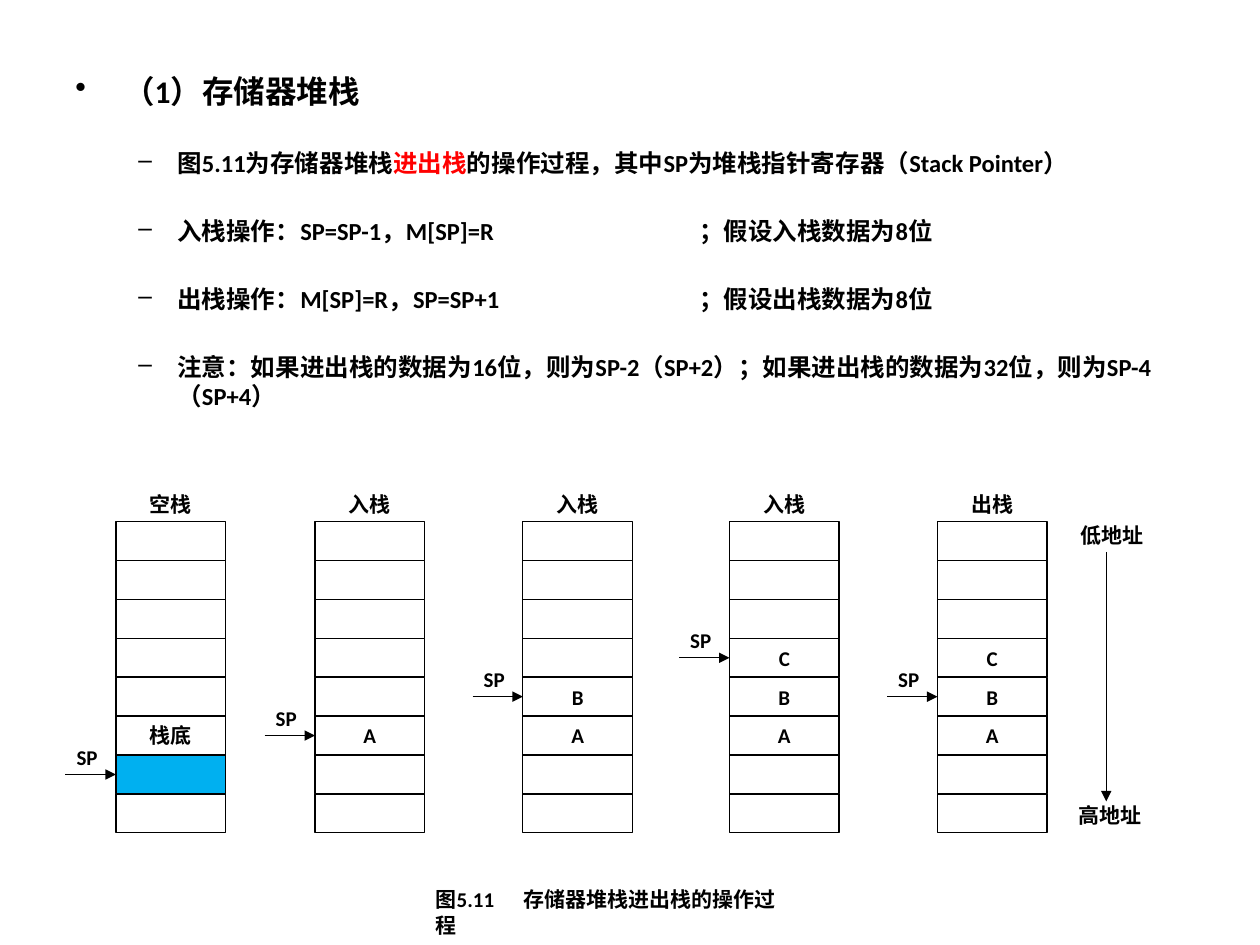
import pptx
import pptx.util
import pptx.dml.color
import pptx.enum.shapes
import pptx.enum.text
import pptx.oxml.ns
from lxml import etree

Inches, Pt = pptx.util.Inches, pptx.util.Pt
RGBColor = pptx.dml.color.RGBColor
BLACK = RGBColor(0, 0, 0)
WHITE = RGBColor(255, 255, 255)
RED = RGBColor(255, 0, 0)
BLUE = RGBColor(0, 0xB0, 0xF0)
FONT = "Calibri"

# Content: each outline line is a list of (text, colour) pieces
HEADING = [("（1）存储器堆栈", BLACK)]
POINTS = [
    [("图5.11为存储器堆栈", BLACK), ("进出栈", RED),
     ("的操作过程，其中SP为堆栈指针寄存器（Stack Pointer）", BLACK)],
    [("入栈操作：SP=SP-1，M[SP]=R\t；假设入栈数据为8位", BLACK)],
    [("出栈操作：M[SP]=R，SP=SP+1\t；假设出栈数据为8位", BLACK)],
    [("注意：如果进出栈的数据为16位，则为SP-2（SP+2）；"
      "如果进出栈的数据为32位，则为SP-4（SP+4）", BLACK)],
]
# Stacks: title, left edge, {row: cell text}, row SP points to
STACKS = [
    ("空栈", 0.92, {5: "栈底"}, 6),
    ("入栈", 2.5, {5: "A"}, 5),
    ("入栈", 4.15, {4: "B", 5: "A"}, 4),
    ("入栈", 5.79, {3: "C", 4: "B", 5: "A"}, 3),
    ("出栈", 7.44, {3: "C", 4: "B", 5: "A"}, 4),
]
FILLED_CELL = (0, 6)  # stack, row
CAPTION = "图5.11\t存储器堆栈进出栈的操作过程"

# Stack grid, in inches
ROWS = 8
STACK_TOP, STACK_HEIGHT, CELL_WIDTH = 4.14, 2.47, 0.87
CELL_HEIGHT = STACK_HEIGHT / ROWS
ARROW_LENGTH = 0.4
LABEL_HEIGHT = 0.3

deck = pptx.Presentation()
deck.slide_width, deck.slide_height = Inches(10), Inches(7.5)
slide = deck.slides.add_slide(deck.slide_layouts[6])


def add_xml(parent, tag, **attributes):
    return etree.SubElement(parent, pptx.oxml.ns.qn(tag), attributes)


def style_runs(paragraph, size, color=BLACK):
    for run in paragraph.runs:
        run.font.name, run.font.size, run.font.bold = FONT, Pt(size), True
        run.font.color.rgb = color


def add_tab(paragraph, position):
    tabs = add_xml(paragraph._p.get_or_add_pPr(), "a:tabLst")
    add_xml(tabs, "a:tab", pos=str(Inches(position)), algn="l")


def add_outline_line(paragraph, pieces, size, bullet, margin, hanging, tab=None):
    properties = paragraph._p.get_or_add_pPr()
    properties.set("marL", str(Inches(margin)))
    properties.set("indent", str(-Inches(hanging)))
    add_xml(properties, "a:buChar", char=bullet)
    if tab:
        add_tab(paragraph, tab)
    for text, color in pieces:
        run = paragraph.add_run()
        run.text = text
        run.font.name, run.font.size, run.font.bold = FONT, Pt(size), True
        run.font.color.rgb = color


def add_label(text, left, top, width, wrap=False, tab=None):
    box = slide.shapes.add_textbox(
        Inches(left), Inches(top), Inches(width), Inches(LABEL_HEIGHT))
    box.text_frame.word_wrap = wrap
    paragraph = box.text_frame.paragraphs[0]
    if tab:
        add_tab(paragraph, tab)
    paragraph.text = text
    style_runs(paragraph, 12)


def add_arrow(x1, y1, x2, y2, target=None):
    arrow = slide.shapes.add_connector(
        pptx.enum.shapes.MSO_CONNECTOR.STRAIGHT,
        Inches(x1), Inches(y1), Inches(x2), Inches(y2))
    if target is not None:
        arrow.end_connect(target, 1)
    arrow.line.color.rgb = BLACK
    arrow.line.width = Pt(0.75)
    add_xml(arrow.line._get_or_add_ln(), "a:tailEnd", type="triangle")
    add_xml(arrow._element.spPr, "a:effectLst")


def add_cell(left, row, text, fill):
    cell = slide.shapes.add_shape(
        pptx.enum.shapes.MSO_SHAPE.RECTANGLE,
        Inches(left), Inches(STACK_TOP + row * CELL_HEIGHT),
        Inches(CELL_WIDTH), Inches(CELL_HEIGHT))
    cell.shadow.inherit = False
    cell.fill.solid()
    cell.fill.fore_color.rgb = fill
    cell.line.color.rgb = BLACK
    cell.line.width = Pt(0.75)
    if text:
        cell.text_frame.text = text
        paragraph = cell.text_frame.paragraphs[0]
        paragraph.alignment = pptx.enum.text.PP_ALIGN.CENTER
        style_runs(paragraph, 12)
    return cell


# Outline text
outline = slide.shapes.add_textbox(
    Inches(0.5), Inches(0.52), Inches(9), Inches(2.95)).text_frame
outline.word_wrap = True
add_outline_line(outline.paragraphs[0], HEADING, 18, "•", 0.38, 0.38)
for point in POINTS:
    paragraph = outline.add_paragraph()
    paragraph.space_before = Pt(22)
    add_outline_line(paragraph, point, 14, "–", 0.81, 0.31, tab=4.95)

# Stacks with their titles and stack pointers
for index, (title, left, contents, pointer_row) in enumerate(STACKS):
    cells = [
        add_cell(left, row, contents.get(row),
                 BLUE if (index, row) == FILLED_CELL else WHITE)
        for row in range(ROWS)
    ]
    add_label(title, left + 0.17, STACK_TOP - 0.29, 0.54)
    pointer_y = STACK_TOP + (pointer_row + 0.5) * CELL_HEIGHT
    add_arrow(left - ARROW_LENGTH, pointer_y, left, pointer_y, cells[pointer_row])
    add_label("SP", left - 0.41, pointer_y - 0.29, 0.37)

# Address direction
add_label("低地址", 8.48, 4.1, 0.71)
add_arrow(8.78, 4.38, 8.78, 6.36)
add_label("高地址", 8.46, 6.32, 0.71)

# Caption
add_label(CAPTION, 3.36, 6.99, 3.02, wrap=True, tab=0.7)

deck.save("out.pptx")
